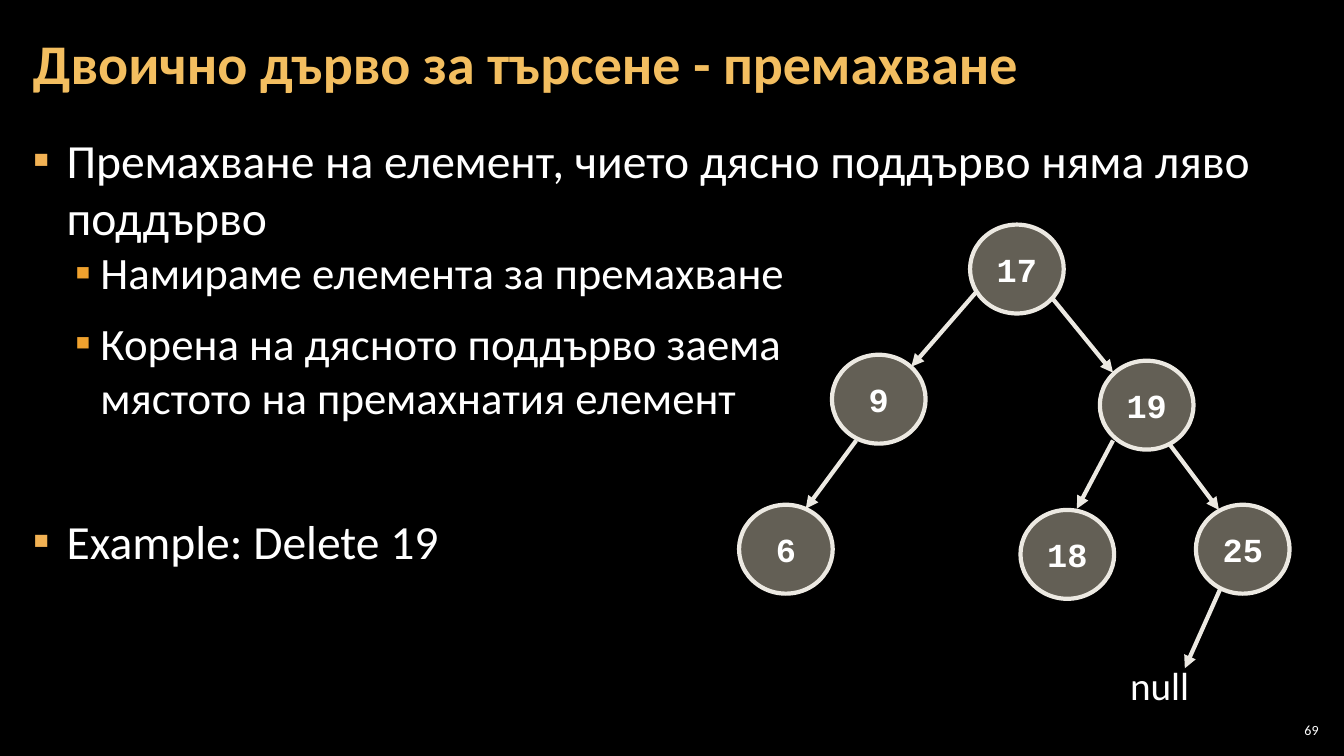
from lxml.etree import SubElement
from pptx import Presentation
from pptx.dml.color import RGBColor
from pptx.enum.shapes import MSO_CONNECTOR, MSO_SHAPE
from pptx.enum.text import MSO_ANCHOR, MSO_AUTO_SIZE, PP_ALIGN
from pptx.oxml.ns import qn
from pptx.util import Cm, Pt

BLACK = RGBColor(0x00, 0x00, 0x00)
WHITE = RGBColor(0xFF, 0xFF, 0xFF)
GOLD = RGBColor(0xF3, 0xBE, 0x60)
BULLET_GOLD = RGBColor(0xF2, 0xB2, 0x54)
BULLET_ORANGE = RGBColor(0xF0, 0xA2, 0x2E)
NODE_FILL = RGBColor(0xC6, 0xBE, 0xAB)
NODE_LINE = RGBColor(0xEC, 0xE9, 0xE2)

# Each level: left margin and hanging indent in cm, text size, bullet colour
LEVELS = [(0.85, 0.85, 34, BULLET_GOLD), (1.7, 0.64, 32, BULLET_ORANGE)]

# Each point: level, space before in points, lines
POINTS = [
    (0, 0, ["Премахване на елемент, чието дясно поддърво няма ляво поддърво"]),
    (1, 0, ["Намираме елемента за премахване"]),
    (1, 12, ["Корена на дясното поддърво заема", "мястото на премахнатия елемент"]),
    (0, 63, ["Example: Delete 19"]),
]

# Lengths in cm from the top left corner of the tree
NODE_WIDTH, NODE_HEIGHT = 2.36, 2.24
NODES = {
    "17": (5.82, 0), "9": (2.34, 3.28), "19": (9.09, 3.43),
    "6": (0, 7.06), "18": (7.09, 7.19), "25": (11.51, 7.06),
}
ARROWS = [
    (5.99, 1.68, 4.34, 3.58),
    (7.87, 1.83, 9.42, 3.73),
    (2.95, 5.44, 1.68, 7.16),
    (9.42, 5.44, 8.51, 7.16),
    (10.85, 5.54, 12.09, 7.19),
    (12.14, 9.14, 11.23, 11.18),
]
NULL_BOX = (9.6, 10.87, 2.01, 1.45)


def place(shape, box):
    shape.left, shape.top, shape.width, shape.height = [Cm(length) for length in box]


def set_frame(frame, anchor, side=0.25, edge=0.13, wrap=True):
    frame.auto_size = MSO_AUTO_SIZE.NONE
    frame.word_wrap = wrap
    frame.vertical_anchor = anchor
    frame.margin_left = frame.margin_right = Cm(side)
    frame.margin_top = frame.margin_bottom = Cm(edge)


def add_span(para, text, size, color=WHITE, bold=False, font="Calibri"):
    span = para.add_run()
    span.text = text
    span.font.name = font
    span.font.size = Pt(size)
    span.font.bold = bold
    span.font.color.rgb = color


def add_label(page, box, text, size, align, anchor, side, edge):
    label = page.shapes.add_textbox(*[Cm(length) for length in box])
    set_frame(label.text_frame, anchor, side, edge, wrap=False)
    para = label.text_frame.paragraphs[0]
    para.alignment = align
    add_span(para, text, size)


def add_bullet(para, level):
    margin, hanging, _, color = LEVELS[level]
    properties = para._p.get_or_add_pPr()
    properties.set("marL", str(Cm(margin)))
    properties.set("indent", str(-Cm(hanging)))
    bullet_color = SubElement(properties, qn("a:buClr"))
    SubElement(bullet_color, qn("a:srgbClr"), val=str(color))
    SubElement(properties, qn("a:buFont"), typeface="Calibri")
    SubElement(properties, qn("a:buChar"), char="▪")


def fill_title(page, box):
    title = page.shapes.title
    place(title, box)
    set_frame(title.text_frame, MSO_ANCHOR.MIDDLE, 0.3, 0.1)
    para = title.text_frame.paragraphs[0]
    para.alignment = PP_ALIGN.LEFT
    para.line_spacing = 0.9
    add_span(para, "Двоично дърво за търсене - премахване", 40, GOLD, bold=True)


def fill_points(page, box):
    body = page.placeholders[1]
    place(body, box)
    frame = body.text_frame
    set_frame(frame, MSO_ANCHOR.TOP, 0.3, 0.1)
    for index, (level, space, lines) in enumerate(POINTS):
        para = frame.add_paragraph() if index else frame.paragraphs[0]
        para.level = level
        add_bullet(para, level)
        para.space_before = Pt(space)
        for number, line in enumerate(lines):
            if number:
                para.add_line_break()
            add_span(para, line, LEVELS[level][2])


def add_node(page, left, top, key):
    node = page.shapes.add_shape(
        MSO_SHAPE.OVAL, Cm(left), Cm(top), Cm(NODE_WIDTH), Cm(NODE_HEIGHT))
    node.shadow.inherit = False
    node.fill.solid()
    node.fill.fore_color.rgb = NODE_FILL
    fill_color = node._element.spPr.find(qn("a:solidFill")).find(qn("a:srgbClr"))
    SubElement(fill_color, qn("a:alpha"), val="50000")
    node.line.color.rgb = NODE_LINE
    node.line.width = Pt(3)
    set_frame(node.text_frame, MSO_ANCHOR.MIDDLE, wrap=False)
    para = node.text_frame.paragraphs[0]
    para.alignment = PP_ALIGN.CENTER
    add_span(para, key, 24, bold=True, font="Courier New")


def add_arrow(page, ends):
    arrow = page.shapes.add_connector(
        MSO_CONNECTOR.STRAIGHT, *[Cm(length) for length in ends])
    arrow.line.color.rgb = NODE_LINE
    arrow.line.width = Pt(3)
    SubElement(arrow.line._get_or_add_ln(), qn("a:tailEnd"), type="triangle")
    SubElement(arrow._element.spPr, qn("a:effectLst"))


def draw_tree(page, left, top):
    for key, (across, down) in NODES.items():
        add_node(page, left + across, top + down, key)
    for x1, y1, x2, y2 in ARROWS:
        add_arrow(page, (left + x1, top + y1, left + x2, top + y2))
    across, down, width, height = NULL_BOX
    add_label(page, (left + across, top + down, width, height), "null", 28,
              PP_ALIGN.LEFT, MSO_ANCHOR.TOP, 0.25, 0.13)


def main():
    deck = Presentation()
    deck.slide_width, deck.slide_height = Cm(33.86), Cm(19.05)
    page = deck.slides.add_slide(deck.slide_layouts[1])
    page.background.fill.solid()
    page.background.fill.fore_color.rgb = BLACK
    fill_points(page, (0.53, 3.2, 32.79, 15.47))
    fill_title(page, (0.53, 0.13, 26.59, 3.07))
    draw_tree(page, 18.62, 5.66)
    add_label(page, (32.13, 18.14, 1.19, 0.53), "69", 10,
              PP_ALIGN.RIGHT, MSO_ANCHOR.MIDDLE, 0.1, 0.1)
    deck.save("out.pptx")


if __name__ == "__main__":
    main()
